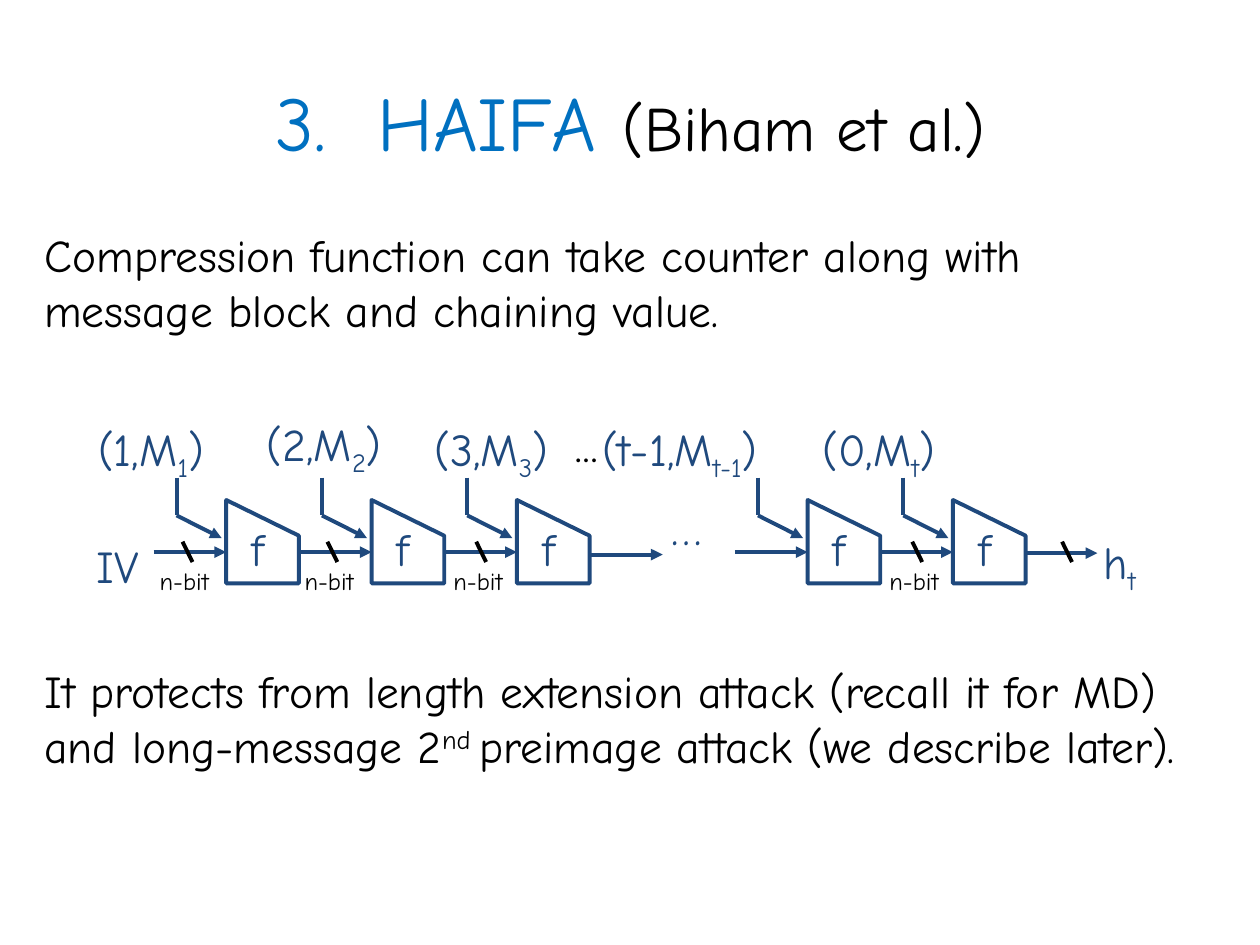
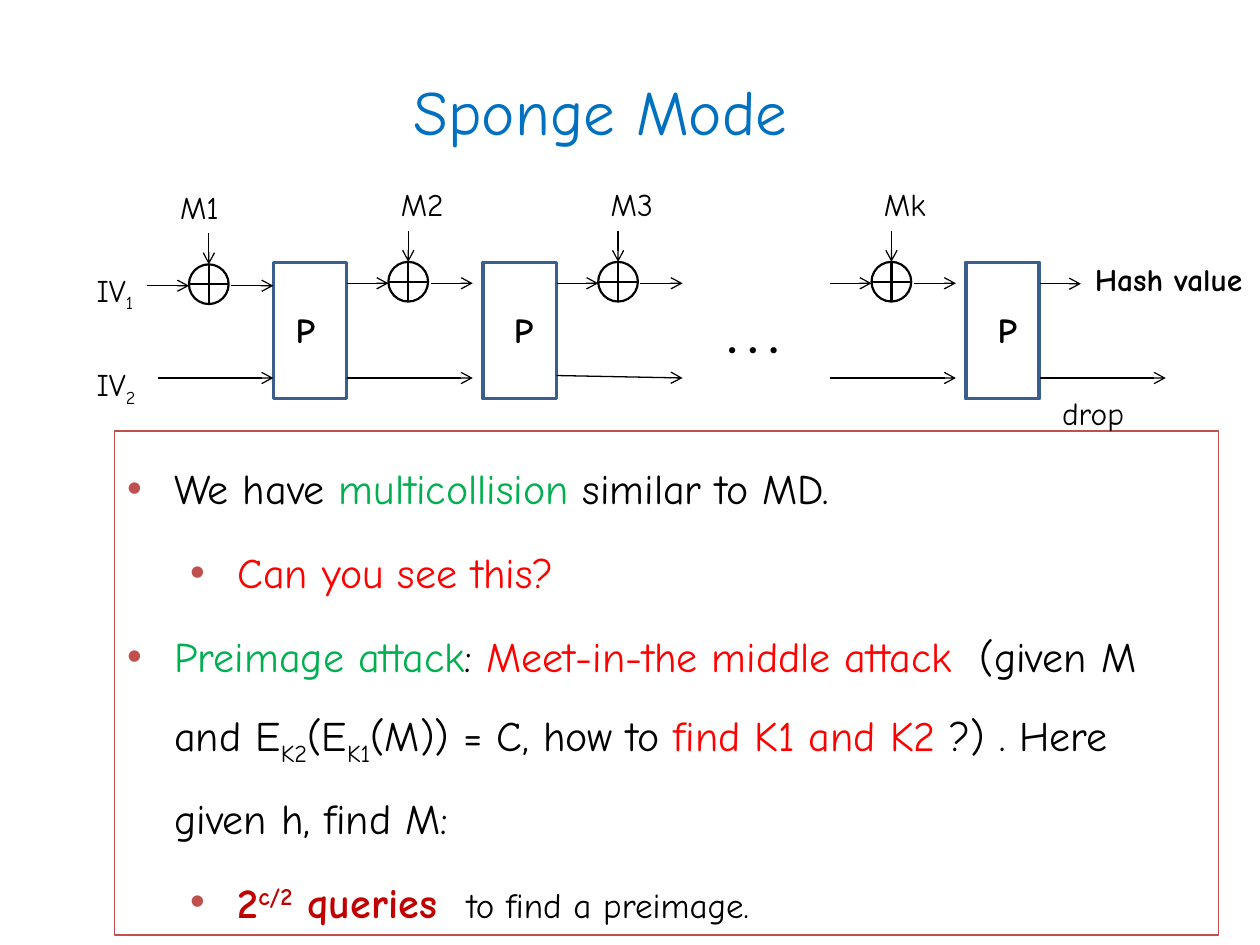
from dataclasses import dataclass
from typing import NamedTuple, Optional

from lxml import etree
from pptx import Presentation
from pptx import util as u
from pptx.dml.color import RGBColor
from pptx.enum import shapes, text
from pptx.oxml import ns


@dataclass(frozen=True)
class Theme:
    font: str = "Comic Neue"
    plain_font: str = "Calibri"
    black: str = "000000"
    title: str = "0070C0"
    chain: str = "1F497D"
    block: str = "3A5F8C"
    frame: str = "C0504D"
    green: str = "00B050"
    red: str = "FF0000"
    dark_red: str = "C00000"
    title_large: float = 44
    title_size: float = 36
    body_size: float = 26
    list_size: float = 24
    block_size: float = 20
    label_size: float = 18
    note_size: float = 14


THEME = Theme()
SUB, SUPER = -25000, 30000


class Area(NamedTuple):
    left: float
    top: float
    width: float
    height: float

    def lengths(self) -> list:
        return [u.Cm(value) for value in self]


@dataclass(frozen=True)
class Style:
    size: float
    color: str = THEME.black
    bold: bool = False
    font: str = THEME.font


class Span(NamedTuple):
    words: str
    baseline: int = 0
    color: Optional[str] = None
    size: Optional[float] = None
    bold: Optional[bool] = None


class Pen(NamedTuple):
    color: str
    width: float
    head: str = ""


CHAIN = Pen(THEME.chain, 2.25)
CHAIN_ARROW = CHAIN._replace(head="triangle")
SLASH = Pen(THEME.black, 2.25)
WIRE = Pen(THEME.black, 0.75, "arrow")
RING = Pen(THEME.black, 1.25)
CHAIN_TEXT = Style(THEME.body_size, THEME.chain)
LABEL = Style(THEME.label_size)
NOTE = Style(THEME.note_size)
BLOCK = Style(THEME.block_size, bold=True)


# Text
def set_font(font, style: Style, span: Span = Span("")) -> None:
    font.name = style.font
    font.size = u.Pt(span.size or style.size)
    font.bold = style.bold if span.bold is None else span.bold
    font.color.rgb = RGBColor.from_string(span.color or style.color)


def write(para, spans: list, style: Style) -> None:
    set_font(para.font, style)
    for span in spans:
        run = para.add_run()
        run.text = span.words
        set_font(run.font, style, span)
        if span.baseline:
            run._r.get_or_add_rPr().set("baseline", str(span.baseline))


def add_label(page, area: Area, style: Style, *spans: Span, wrap: bool = False) -> None:
    box = page.shapes.add_textbox(*area.lengths())
    box.text_frame.word_wrap = wrap
    box.text_frame.auto_size = text.MSO_AUTO_SIZE.SHAPE_TO_FIT_TEXT
    write(box.text_frame.paragraphs[0], list(spans), style)


def fill_placeholder(box, area: Area):
    box.left, box.top, box.width, box.height = area.lengths()
    box.text_frame.auto_size = text.MSO_AUTO_SIZE.NONE
    return box.text_frame


def add_page(deck, title_area: Area, *title: Span):
    page = deck.slides.add_slide(deck.slide_layouts[1])
    frame = fill_placeholder(page.shapes.title, title_area)
    frame.vertical_anchor = text.MSO_ANCHOR.MIDDLE
    para = frame.paragraphs[0]
    para.alignment = text.PP_ALIGN.CENTER
    write(para, list(title), Style(THEME.title_size, THEME.title))
    return page


def add_paragraphs(frame, count: int) -> list:
    return [frame.paragraphs[0]] + [frame.add_paragraph() for _ in range(count - 1)]


def set_bullet(para, level: int) -> None:
    para.level = level
    para.line_spacing = 1.5
    props = para._p.get_or_add_pPr()
    props.set("marL", str(u.Cm(0.95 + 1.27 * level)))
    props.set("indent", str(-u.Cm(0.95)))
    bullet_color = etree.Element(ns.qn("a:buClr"))
    etree.SubElement(bullet_color, ns.qn("a:srgbClr"), val=THEME.frame)
    bullet = etree.Element(ns.qn("a:buChar"), char="•")
    first_font = props.find(ns.qn("a:defRPr"))
    for part in (bullet_color, bullet):
        if first_font is None:
            props.append(part)
        else:
            first_font.addprevious(part)


# Lines and outlines
def draw_line(target, x1: float, y1: float, x2: float, y2: float, pen: Pen):
    line = target.add_connector(shapes.MSO_CONNECTOR.STRAIGHT,
                                u.Cm(x1), u.Cm(y1), u.Cm(x2), u.Cm(y2))
    set_outline(line, pen)
    if pen.head:
        etree.SubElement(line.line._get_or_add_ln(), ns.qn("a:tailEnd"), type=pen.head)
    etree.SubElement(line._element.spPr, ns.qn("a:effectLst"))
    return line


def set_outline(shape, pen: Pen) -> None:
    shape.line.color.rgb = RGBColor.from_string(pen.color)
    shape.line.width = u.Pt(pen.width)


def make_hollow(shape, pen: Pen):
    shape.fill.background()
    shape.shadow.inherit = False
    set_outline(shape, pen)
    return shape


# Slide 1: HAIFA chain
PITCH = 2.93
GATE_WIDTH = PITCH / 2
FIRST_GATE = 4.56
CHAIN_Y = 11.13


class Message(NamedTuple):
    left: float
    width: float
    counter: str
    index: str
    top: float = 8.36


MESSAGES = [
    Message(1.73, 2.97, "1", "1"),
    Message(5.13, 3.2, "2", "2", 8.26),
    Message(8.51, 3.2, "3", "3"),
    Message(11.89, 4.34, "t-1", "t-1"),
    Message(16.33, 3.1, "0", "t"),
]


def draw_gate(page, left: float) -> None:
    right = left + GATE_WIDTH
    outline = page.shapes.build_freeform(u.Cm(left), u.Cm(10.08))
    corners = [(right, 10.8), (right, 11.76), (left, 11.76)]
    outline.add_line_segments([(u.Cm(x), u.Cm(y)) for x, y in corners], close=True)
    make_hollow(outline.convert_to_shape(), CHAIN)
    add_label(page, Area(left + 0.26, 10.37, 0.99, 1.35), CHAIN_TEXT, Span("f"))
    draw_line(page.shapes, left - GATE_WIDTH, CHAIN_Y, left, CHAIN_Y, CHAIN_ARROW)
    draw_line(page.shapes, left - 1, 9.63, left - 1, 10.39, CHAIN)
    draw_line(page.shapes, left - 1, 10.39, left - 0.09, 10.85, CHAIN_ARROW)


def build_haifa(deck) -> None:
    page = add_page(deck, Area(1.91, 0.84, 21.59, 3.18),
                    Span("3.  HAIFA ", size=THEME.title_large),
                    Span("(Biham et al.)", color=THEME.black))
    frame = fill_placeholder(page.placeholders[1], Area(0.64, 4.45, 23.47, 12.47))
    statements = [
        [Span("Compression function can take counter along with "
              "message block and chaining value.")],
        [Span("It protects from length extension attack (recall it for MD) "
              "and long-message 2"),
         Span("nd ", SUPER), Span("preimage attack (we describe later).")],
    ]
    gaps = [0, 187]  # the second statement stands below the diagram
    for para, spans, gap in zip(add_paragraphs(frame, 2), statements, gaps):
        write(para, spans, Style(THEME.body_size))
        para.space_before = u.Pt(gap)
        props = para._p.get_or_add_pPr()
        props.set("marL", "0")
        props.set("indent", "0")
        props.find(ns.qn("a:defRPr")).addprevious(etree.Element(ns.qn("a:buNone")))

    for slot in (0, 1, 2, 4, 5):
        draw_gate(page, FIRST_GATE + slot * PITCH)
    draw_line(page.shapes, 11.91, 11.18, 13.36, 11.18, CHAIN_ARROW)
    draw_line(page.shapes, 20.65, 11.15, 22.12, 11.15, CHAIN_ARROW)

    # Chaining values, with their width
    for left, note in [(3.68, "n-bit"), (6.6, "n-bit"), (9.6, "n-bit"),
                       (18.39, "n-bit"), (21.41, "")]:
        draw_line(page.shapes, left, 10.92, left + 0.2, 11.33, SLASH)
        if note:
            add_label(page, Area(left - 0.71, 11.28, 2.21, 0.84), NOTE,
                      Span(note), wrap=True)
    for message in MESSAGES:
        add_label(page, Area(message.left, message.top, message.width, 1.37), CHAIN_TEXT,
                  Span(f"({message.counter},M"), Span(message.index, SUB), Span(")"))
    add_label(page, Area(1.7, 10.72, 1.6, 1.35), CHAIN_TEXT, Span("IV"))
    add_label(page, Area(22, 10.64, 1.32, 1.35), CHAIN_TEXT, Span("h"), Span("t", SUB))
    add_label(page, Area(13.28, 9.96, 1.14, 1.37), CHAIN_TEXT, Span("…"))
    add_label(page, Area(11.35, 8.56, 0.97, 1.02),
              Style(THEME.label_size, font=THEME.plain_font), Span("…"))


# Slide 2: sponge
LOWER_Y = 7.62
RING_SIZE = 0.8


class Junction(NamedTuple):
    left: float
    message: str
    top: float = 5.28
    label_shift: float = 0
    lower_reach: float = 0.84
    lower_start_y: float = LOWER_Y


JUNCTIONS = [
    Junction(3.81, "M1", top=5.33, label_shift=-0.43, lower_reach=0.63),
    Junction(7.83, "M2"),
    Junction(12.06, "M3", lower_start_y=7.57),
    Junction(17.57, "Mk"),
]


def draw_junction(page, spot: Junction) -> None:
    left, top = spot.left, spot.top
    middle, center = left + RING_SIZE / 2, top + RING_SIZE / 2
    group = page.shapes.add_group_shape().shapes
    ring = make_hollow(group.add_shape(
        shapes.MSO_SHAPE.OVAL, *Area(left, top, RING_SIZE, RING_SIZE).lengths()), RING)
    draw_line(group, left, center, left + RING_SIZE, center, RING)
    draw_line(group, middle, top, middle, top + RING_SIZE, RING)

    wire_y = top + 0.43
    draw_line(page.shapes, left - 0.84, wire_y, left, wire_y, WIRE)
    draw_line(page.shapes, left + 0.85, wire_y, left + 1.7, wire_y, WIRE)
    draw_line(page.shapes, middle, top - 0.63, middle, top, WIRE).end_connect(ring, 0)
    draw_line(page.shapes, left - spot.lower_reach, spot.lower_start_y,
              left + 1.7, LOWER_Y, WIRE)
    add_label(page, Area(left + spot.label_shift, top - 1.67, 1.47, 1.02), LABEL,
              Span(spot.message))


def build_sponge(deck) -> None:
    page = add_page(deck, Area(0, 0.64, 24.21, 3.18), Span("Sponge Mode"))
    for left, letter_shift in [(5.51, 0.2), (9.74, 0.37), (19.47, 0.39)]:
        make_hollow(page.shapes.add_shape(
            shapes.MSO_SHAPE.RECTANGLE, *Area(left, 5.29, 1.48, 2.75).lengths()),
            Pen(THEME.block, 2))
        add_label(page, Area(left + letter_shift, 6.1, 0.89, 1.12), BLOCK, Span("P"))
    for spot in JUNCTIONS:
        draw_junction(page, spot)
    draw_line(page.shapes, 20.96, 5.72, 21.79, 5.72, WIRE)
    draw_line(page.shapes, 20.96, LOWER_Y, 23.5, LOWER_Y, WIRE)

    # Inputs and outputs
    for index, top in [("1", 5.33), ("2", 7.24)]:
        add_label(page, Area(1.7, top, 1.5, 1.02), LABEL, Span("IV"), Span(index, SUB))
    add_label(page, Area(14.4, 6.15, 1.78, 1.27),
              Style(THEME.list_size, bold=True, font=THEME.plain_font), Span(". . ."))
    add_label(page, Area(21.82, 5.11, 3.86, 1.02), LABEL, Span("Hash value", bold=True))
    add_label(page, Area(21.16, 7.82, 1.88, 1.02), LABEL, Span("drop"))

    # Attacks
    box = page.placeholders[1]
    frame = fill_placeholder(box, Area(2.31, 8.69, 22.25, 10.16))
    set_outline(box, Pen(THEME.frame, 0.75))
    strong = {"color": THEME.dark_red, "bold": True}
    points = [
        (0, [Span("We have "), Span("multicollision", color=THEME.green),
             Span(" similar to MD.")]),
        (1, [Span("Can you see this?", color=THEME.red)]),
        (0, [Span("Preimage attack", color=THEME.green), Span(": "),
             Span("Meet-in-the middle attack", color=THEME.red),
             Span("  (given M and E"), Span("K2", SUB), Span("(E"), Span("K1", SUB),
             Span("(M)) = C, how to "), Span("find K1 and K2", color=THEME.red),
             Span(" ?) . Here given h, find M:")]),
        (1, [Span("2", **strong), Span("c/2", SUPER, **strong),
             Span(" queries  ", **strong),
             Span("to find a preimage.", size=THEME.block_size)]),
    ]
    for para, (level, spans) in zip(add_paragraphs(frame, len(points)), points):
        write(para, spans, Style(THEME.list_size))
        set_bullet(para, level)


def main() -> None:
    deck = Presentation()
    deck.slide_width, deck.slide_height = u.Cm(25.4), u.Cm(19.05)
    build_haifa(deck)
    build_sponge(deck)
    deck.save("out.pptx")


if __name__ == "__main__":
    main()
